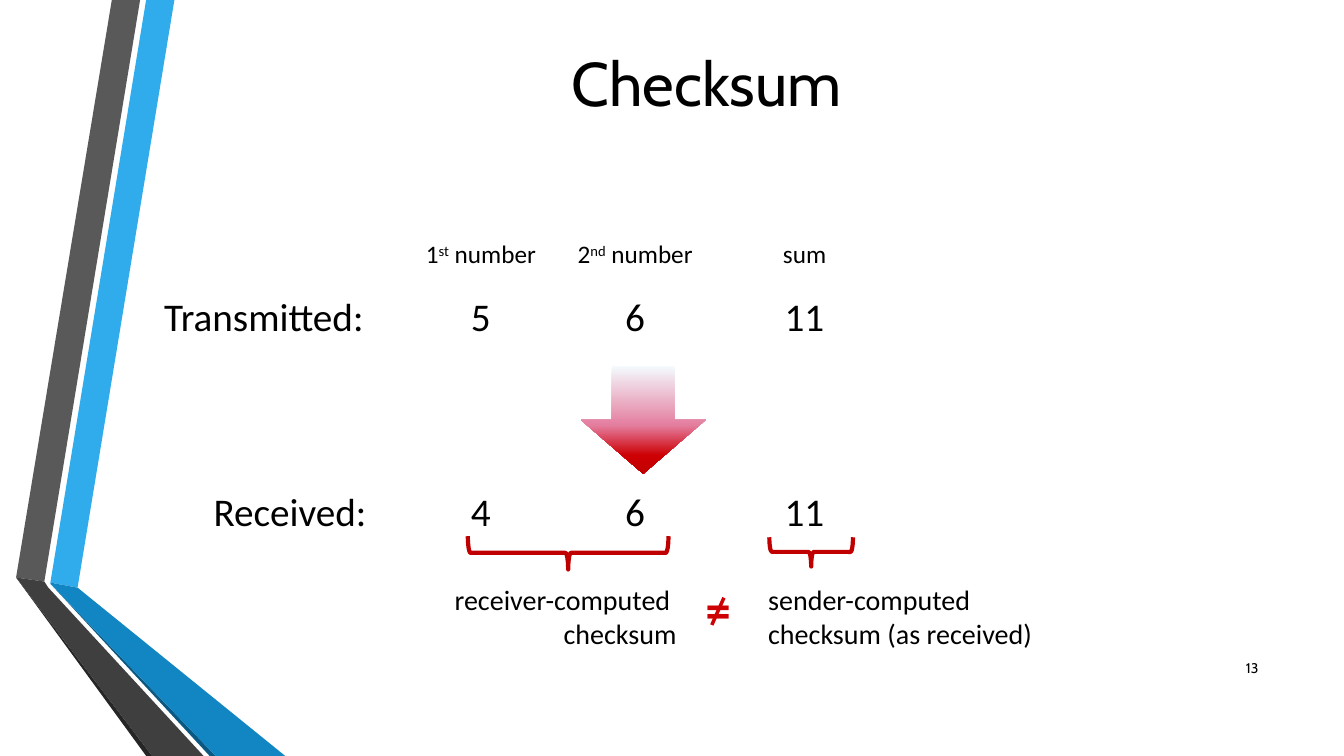
from copy import deepcopy
from dataclasses import dataclass

from lxml import etree
from pptx import Presentation
from pptx import util as u
from pptx.dml.color import RGBColor
from pptx.enum import shapes, text
from pptx.oxml.ns import qn

TITLE = " Checksum"
PAGE = "13"
CAPTIONS = [("1", "st", " number"), ("2", "nd", " number"), ("sum", "", "")]
ROWS = [
    (1.53, 2.9, ["Transmitted:", "5", "6", "11"]),
    (2.02, 4.84, ["Received:", "4", "6", "11"]),
]
CHECKSUMS = [
    (4.38, 2.43, ["receiver-computed ", "checksum"], text.PP_ALIGN.RIGHT),
    (7.52, 2.85, ["sender-computed", "checksum (as received)"], text.PP_ALIGN.LEFT),
]
BRACES = [(5.47, 4.49, 0.33, 1.99), (7.9, 5.06, 0.29, 0.83)]
BANDS = [
    ("30ACEC", [(0.5, 5.78), (0.77, 5.83), (1.73, 0), (1.45, 0)]),
    ("595959", [(1.39, 0), (1.11, 0), (0.16, 5.73), (0.44, 5.77)]),
    ("262626", [(0.16, 5.73), (1.45, 7.5), (1.51, 7.5)]),
    ("0B5982", [(0.5, 5.79), (2.08, 7.5), (2.14, 7.5)]),
    ("1186C3", [(0.5, 5.79), (2.14, 7.5), (2.83, 7.5), (0.77, 5.83), (0.5, 5.78)]),
    ("3F3F3F", [(2.02, 7.5), (0.48, 5.83), (0.44, 5.77), (0.16, 5.73), (1.51, 7.5)]),
]
ARROW_STOPS = [(0, "F4FAFE"), (0.55, "E47E9F"), (0.83, "CD0004"), (1, "C00000")]
COLUMNS = [4.77, 6.3, 7.98]
CAPTION_WIDTH = 1.5
MARGIN = 0.1


@dataclass(frozen=True)
class Theme:
    heading: str = "Cabin"
    body: str = "Calibri"
    ink: str = "000000"
    brace: str = "C00000"
    unequal: str = "CD0004"
    title: int = 44
    row: int = 28
    caption: int = 18
    checksum: int = 20
    sign: int = 36
    page: int = 10


theme = Theme()
deck = Presentation()
deck.slide_width, deck.slide_height = u.Inches(13.33), u.Inches(7.5)
slide = deck.slides.add_slide(deck.slide_layouts[5])


def inches(*lengths):
    return [u.Inches(length) for length in lengths]


def style(paragraph, size, face=theme.body, color=theme.ink, align=text.PP_ALIGN.LEFT):
    paragraph.alignment = align
    paragraph.font.name = face
    paragraph.font.size = u.Pt(size)
    paragraph.font.color.rgb = RGBColor.from_string(color)


def write(box, lines, size, **look):
    frame = slide.shapes.add_textbox(*inches(*box)).text_frame
    frame.word_wrap = True
    for index, line in enumerate(lines):
        paragraph = frame.add_paragraph() if index else frame.paragraphs[0]
        paragraph.text = line
        style(paragraph, size, **look)
    return frame


def outline(line, color, width):
    line.color.rgb = RGBColor.from_string(color)
    line.width = u.Pt(width)


def add_bands():
    for color, corners in BANDS:
        points = [tuple(inches(*corner)) for corner in corners]
        builder = slide.shapes.build_freeform(*points[0])
        builder.add_line_segments(points[1:])
        band = builder.convert_to_shape()
        band.shadow.inherit = False
        band.fill.solid()
        band.fill.fore_color.rgb = RGBColor.from_string(color)
        band.line.fill.background()


def add_title():
    title = slide.shapes.title
    title.left, title.top, title.width, title.height = inches(0.87, 0.32, 12.14, 0.98)
    title.text_frame.text = TITLE
    title.text_frame.vertical_anchor = text.MSO_ANCHOR.MIDDLE
    style(title.text_frame.paragraphs[0], theme.title, theme.heading, align=text.PP_ALIGN.CENTER)


def add_captions():
    for center, parts in zip(COLUMNS, CAPTIONS):
        box = (center - CAPTION_WIDTH / 2, 2.32, CAPTION_WIDTH, 0.4)
        caption = write(box, [""], theme.caption, align=text.PP_ALIGN.CENTER).paragraphs[0]
        for part in filter(None, parts):
            run = caption.add_run()
            run.text = part
            if part == parts[1]:
                run.font._element.set("baseline", "30000")


def add_rows():
    for left, top, cells in ROWS:
        row = write((left, top, 11, 0.63), [""], theme.row).paragraphs[0]
        row.text = "\t".join(cells)
        row.line_spacing = 0.9
        tabs = etree.Element(qn("a:tabLst"))
        for center in COLUMNS:
            position = u.Inches(center - left - MARGIN)
            etree.SubElement(tabs, qn("a:tab"), pos=str(position), algn="ctr")
        row._p.pPr.find(qn("a:defRPr")).addprevious(tabs)


def add_arrow():
    arrow = slide.shapes.add_shape(shapes.MSO_SHAPE.DOWN_ARROW, *inches(5.76, 3.63, 1.24, 1.07))
    arrow.shadow.inherit = False
    arrow.line.fill.background()
    arrow.fill.gradient()
    arrow.fill.gradient_angle = 270
    stops = arrow._element.spPr.find(qn("a:gradFill")).find(qn("a:gsLst"))
    while len(stops) < len(ARROW_STOPS):
        stops.append(deepcopy(stops[0]))
    for stop, (position, color) in zip(arrow.fill.gradient_stops, ARROW_STOPS):
        stop.position = position
        stop.color.rgb = RGBColor.from_string(color)


def add_checksums():
    for left, width, lines, align in CHECKSUMS:
        write((left, 5.73, width, 0.77), lines, theme.checksum, align=align)
    for box in BRACES:
        brace = slide.shapes.add_shape(shapes.MSO_SHAPE.RIGHT_BRACE, *inches(*box))
        brace.rotation = 90
        brace.shadow.inherit = False
        brace.fill.background()
        outline(brace.line, theme.brace, 3)


def add_unequal():
    sign = write((6.9, 5.69, 0.45, 0.71), ["="], theme.sign, color=theme.unequal)
    sign.paragraphs[0].font.bold = True
    slash = slide.shapes.add_connector(
        shapes.MSO_CONNECTOR.STRAIGHT, *inches(7.18, 5.93, 7.06, 6.2))
    outline(slash.line, theme.unequal, 2.5)
    etree.SubElement(slash._element.spPr, qn("a:effectLst"))


def add_page():
    page = write((11.98, 6.43, 0.6, 0.4), [PAGE], theme.page,
                 face=theme.heading, align=text.PP_ALIGN.RIGHT)
    page.vertical_anchor = text.MSO_ANCHOR.MIDDLE


def main():
    add_bands()
    add_title()
    add_captions()
    add_rows()
    add_arrow()
    add_checksums()
    add_unequal()
    add_page()
    deck.save("out.pptx")


if __name__ == "__main__":
    main()
